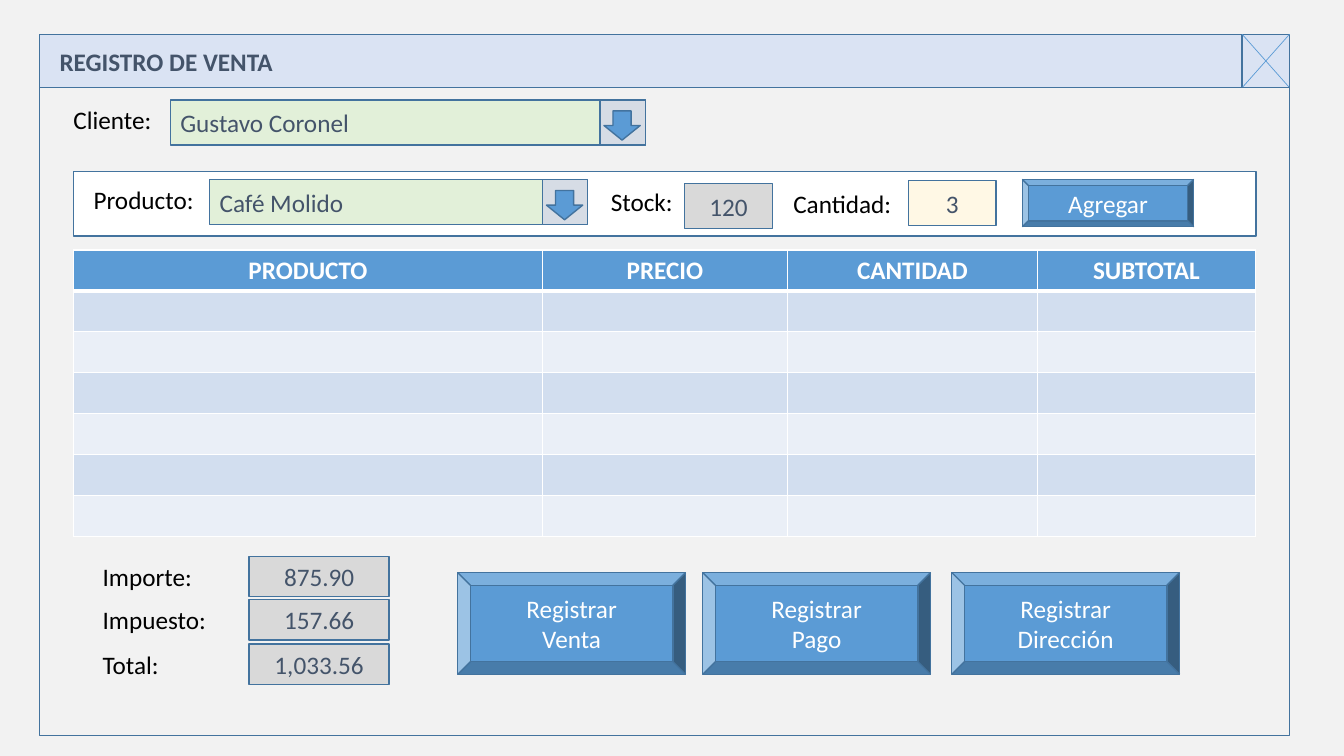
"""Build the sales entry form slide."""
from lxml import etree
from pptx import Presentation
from pptx.dml.color import RGBColor
from pptx.enum.shapes import MSO_CONNECTOR, MSO_SHAPE
from pptx.enum.text import MSO_ANCHOR, PP_ALIGN
from pptx.oxml.ns import qn
from pptx.util import Inches, Pt

RECT, BEVEL, ARROW = MSO_SHAPE.RECTANGLE, MSO_SHAPE.BEVEL, MSO_SHAPE.DOWN_ARROW
LINE = MSO_CONNECTOR.STRAIGHT
LEFT, MID = PP_ALIGN.LEFT, PP_ALIGN.CENTER
TOP, CENTER = MSO_ANCHOR.TOP, MSO_ANCHOR.MIDDLE
BLUE, EDGE, INK = "5B9BD5", "43739E", "44546A"
BAR, PAGE, GREEN, GRAY = "DAE3F3", "F2F2F2", "E2F0D9", "D9D9D9"
CREAM, STEEL, WHITE, BLACK = "FFF8E5", "D6DCE5", "FFFFFF", "000000"
BANDS = ["EAEFF7", "D2DEEF"]
HEADS = {"PRODUCTO": 4.65, "PRECIO": 2.43, "CANTIDAD": 2.48, "SUBTOTAL": 2.16}
SUMS = {"Importe:": "875.90", "Impuesto:": "157.66", "Total:": "1,033.56"}
ACTS = {"Venta": 4.54, "Pago": 6.97, "Dirección": 9.44}


def color(code):
    return RGBColor.from_string(code)


def paint(shape, fill):
    shape.fill.solid()
    shape.fill.fore_color.rgb = color(fill)
    shape.line.color.rgb = color(EDGE)
    shape.line.width = Pt(1)


def write(frame, text, ink, align=LEFT, bold=False):
    para = frame.paragraphs[0]
    para.text = text
    para.alignment = align
    para.line_spacing = 1.0
    look = {"name": "Calibri", "size": Pt(18), "bold": bold}
    for run in para.runs:
        for key, value in look.items():
            setattr(run.font, key, value)
        run.font.color.rgb = color(ink)


def box(slide, at, fill, text="", ink=INK, align=MID, kind=RECT):
    shape = slide.shapes.add_shape(kind, *map(Inches, at))
    shape.shadow.inherit = False
    paint(shape, fill)
    if text:
        shape.text_frame.vertical_anchor = CENTER
        write(shape.text_frame, text, ink, align)


def label(slide, left, top, width, text):
    shape = slide.shapes.add_textbox(*map(Inches, (left, top, width, 0.4)))
    shape.text_frame.word_wrap = True
    shape.text_frame.vertical_anchor = TOP
    write(shape.text_frame, text, BLACK)


def button(slide, at, text):
    box(slide, at, BLUE, text, WHITE, kind=BEVEL)


def picker(slide, left, top, width, text):
    box(slide, (left, top, width, 0.45), GREEN, text, align=LEFT)
    edge = left + width - 0.45
    box(slide, (edge, top, 0.45, 0.45), STEEL)
    box(slide, (edge + 0.04, top + 0.11, 0.36, 0.29), BLUE, kind=ARROW)


def stroke(slide, *ends):
    line = slide.shapes.add_connector(LINE, *map(Inches, ends))
    line.line.color.rgb = color(BLUE)
    line.line.width = Pt(0.5)
    etree.SubElement(line.element.spPr, qn("a:effectLst"))


def border(cell, head):
    props = cell._tc.get_or_add_tcPr()
    for side in "LRTB":
        width = 3 if head and side == "B" else 1
        line = etree.SubElement(props, qn(f"a:ln{side}"), w=str(Pt(width)))
        fill = etree.SubElement(line, qn("a:solidFill"))
        etree.SubElement(fill, qn("a:srgbClr"), val=WHITE)


def grid(slide):
    at = map(Inches, (0.73, 2.48, 11.73, 2.84))
    table = slide.shapes.add_table(7, len(HEADS), *at).table
    for col, (head, width) in enumerate(HEADS.items()):
        table.columns[col].width = Inches(width)
        for row in range(7):
            cell = table.cell(row, col)
            border(cell, row == 0)
            cell.fill.solid()
            cell.fill.fore_color.rgb = color(BANDS[row % 2] if row else BLUE)
        write(table.cell(0, col).text_frame, head, WHITE, MID, True)


def header(slide):
    title = slide.shapes.title
    place = {"left": 0.39, "top": 0.34, "width": 12.4, "height": 0.53}
    for key, value in place.items():
        setattr(title, key, Inches(value))
    paint(title, BAR)
    frame = title.text_frame
    frame.margin_left = Inches(0.2)
    frame.vertical_anchor = CENTER
    write(frame, "REGISTRO DE VENTA", INK, bold=True)
    box(slide, (12.32, 0.34, 0.47, 0.53), BAR)
    stroke(slide, 12.79, 0.34, 12.32, 0.87)
    stroke(slide, 12.79, 0.87, 12.32, 0.34)


def entry(slide):
    label(slide, 0.63, 0.99, 1.06, "Cliente:")
    picker(slide, 1.69, 0.99, 4.71, "Gustavo Coronel")
    box(slide, (0.73, 1.7, 11.73, 0.64), WHITE)
    label(slide, 0.83, 1.78, 1.32, "Producto:")
    picker(slide, 2.08, 1.78, 3.75, "Café Molido")
    label(slide, 5.96, 1.8, 0.83, "Stock:")
    box(slide, (6.79, 1.82, 0.87, 0.45), GRAY, "120")
    label(slide, 7.77, 1.82, 1.34, "Cantidad:")
    box(slide, (9.01, 1.79, 0.87, 0.45), CREAM, "3")
    button(slide, (10.14, 1.78, 1.7, 0.47), "Agregar")


def footer(slide):
    for row, (name, value) in enumerate(SUMS.items()):
        top = round(5.52 + row * 0.435, 2)
        label(slide, 0.92, top, 1.55, name)
        box(slide, (2.47, top, 1.39, 0.4), GRAY, value)
    for name, left in ACTS.items():
        button(slide, (left, 5.68, 2.26, 1.01), f"Registrar\v{name}")


def main():
    deck = Presentation()
    deck.slide_width, deck.slide_height = Inches(13.33), Inches(7.5)
    slide = deck.slides.add_slide(deck.slide_layouts[5])
    slide.background.fill.solid()
    slide.background.fill.fore_color.rgb = color(PAGE)
    header(slide)
    box(slide, (0.39, 0.87, 12.4, 6.43), PAGE)
    entry(slide)
    grid(slide)
    footer(slide)
    deck.save("out.pptx")


main()
